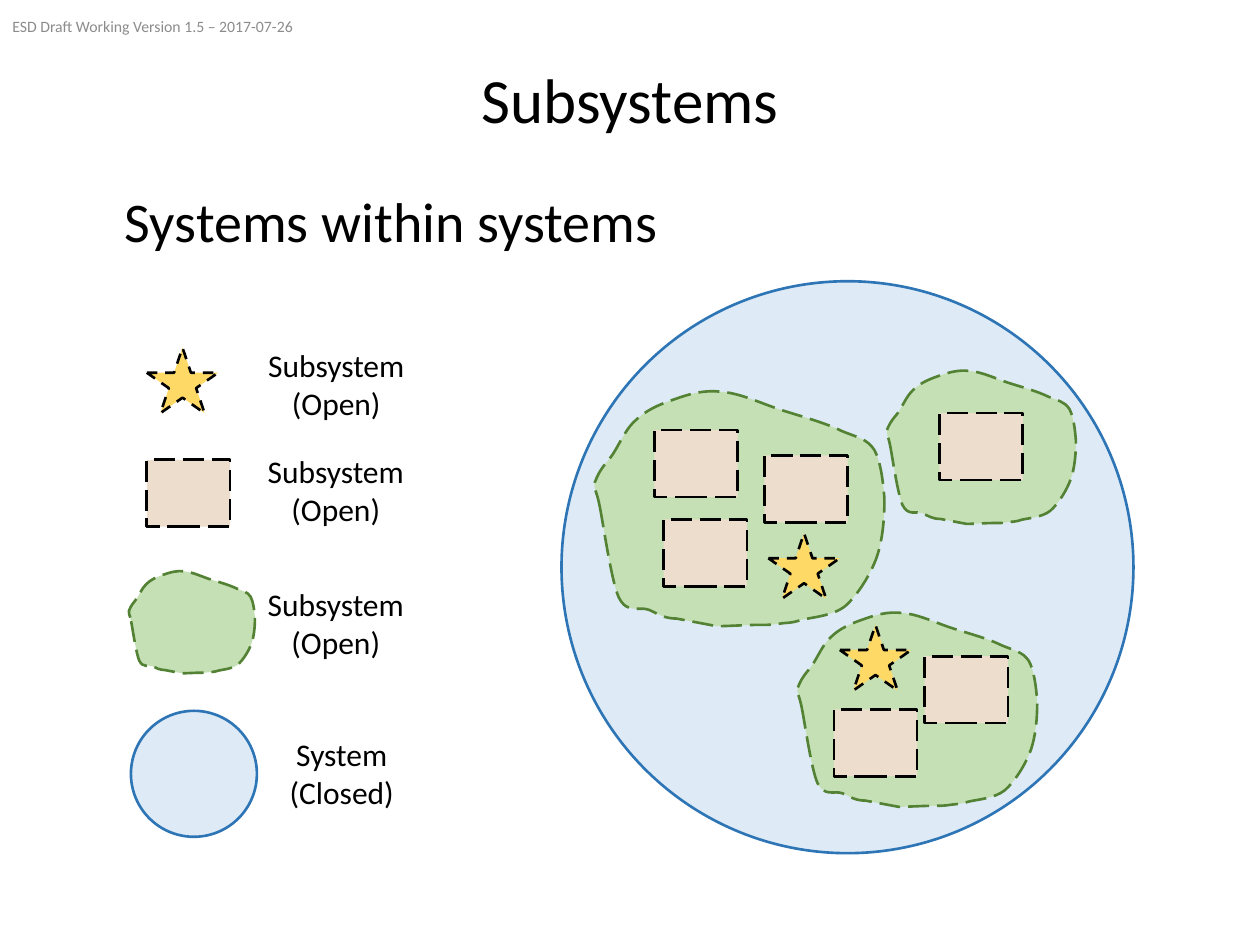
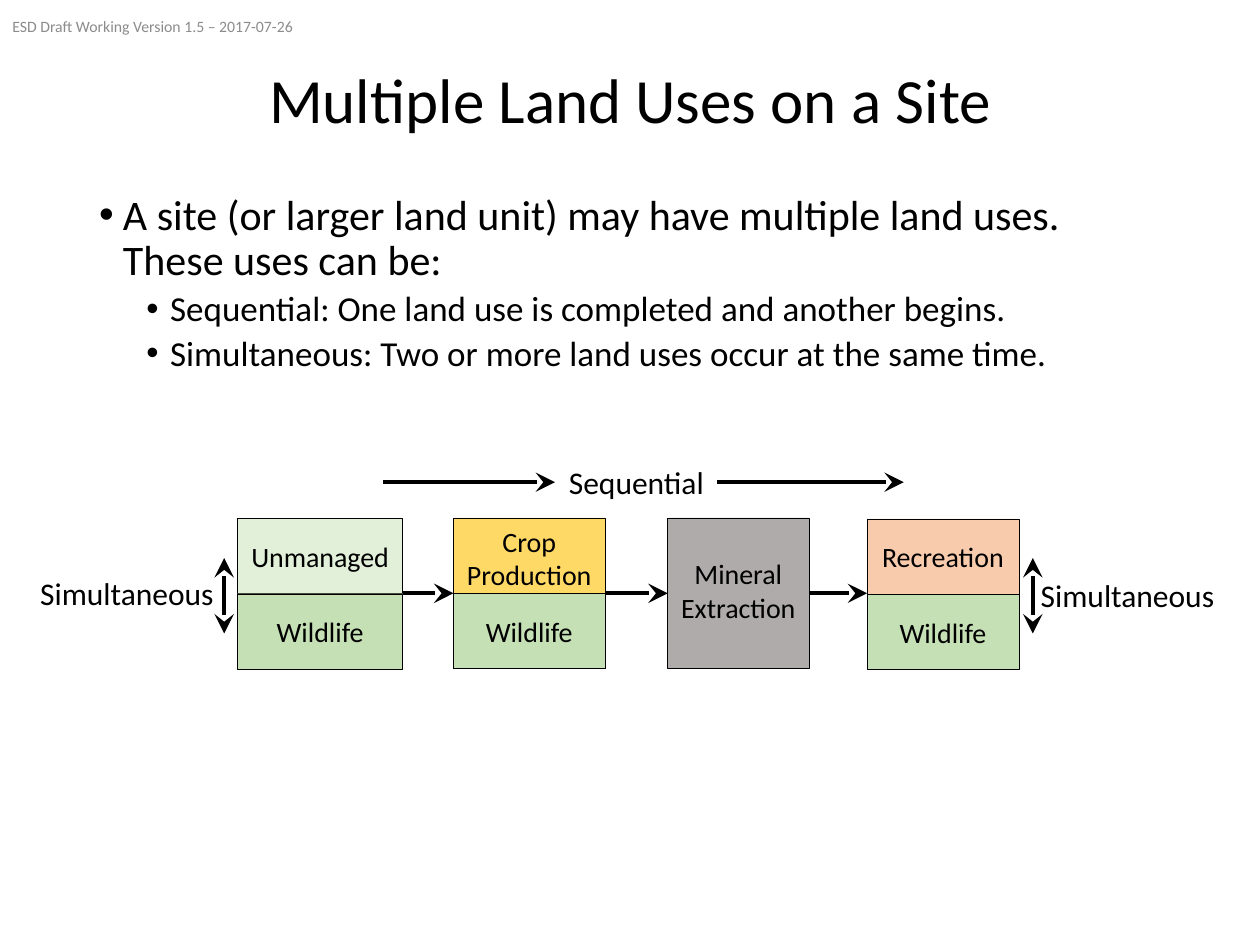
"""Build two slides: nested subsystems, and several land uses on one site."""
import pptx
import pptx.dml.color
import pptx.enum.dml
import pptx.enum.shapes
import pptx.enum.text
import pptx.oxml
import pptx.oxml.ns
import pptx.util

Cm, Pt = pptx.util.Cm, pptx.util.Pt
RGBColor = pptx.dml.color.RGBColor
SHAPE = pptx.enum.shapes.MSO_SHAPE
DASH = pptx.enum.dml.MSO_LINE
ALIGN = pptx.enum.text.PP_ALIGN
ANCHOR = pptx.enum.text.MSO_ANCHOR

BLACK = RGBColor(0x00, 0x00, 0x00)
GRAY = RGBColor(0x8C, 0x8C, 0x8C)
PALE_BLUE = RGBColor(0xDE, 0xEB, 0xF7)
BLUE = RGBColor(0x2E, 0x75, 0xB6)
GREEN = RGBColor(0xC5, 0xE0, 0xB4)
DARK_GREEN = RGBColor(0x54, 0x82, 0x35)
PALE_GREEN = RGBColor(0xE2, 0xF0, 0xD9)
TAN = RGBColor(0xEC, 0xDD, 0xCC)
GOLD = RGBColor(0xFF, 0xD9, 0x66)
STONE = RGBColor(0xAF, 0xAB, 0xAB)
PEACH = RGBColor(0xF8, 0xCB, 0xAD)
FONT = "Calibri"
HEADER = "ESD Draft Working Version 1.5 – 2017-07-26"

LEGEND = [
    ("star", 2.96, 7.01, None, ["Subsystem", "(Open)"], 5.14, 6.86),
    ("rect", 2.96, 9.27, None, ["Subsystem", "(Open)"], 5.13, 8.99),
    ("blob", 2.6, 11.52, 2.54, ["Subsystem", "(Open)"], 5.13, 11.67),
    ("circle", 2.64, 14.33, 2.54, ["System", "(Closed)"], 5.25, 14.7),
]
SYSTEM = [("circle", 11.32, 5.67, 11.53)]
SYSTEM += [("blob", *place) for place in
           [(17.88, 7.48, 3.81), (16.08, 12.36, 4.83), (11.99, 7.9, 5.84)]]
SYSTEM += [("rect", x, y, None) for x, y in
           [(13.19, 8.67), (18.64, 13.23), (13.38, 10.47),
            (16.81, 14.3), (15.41, 9.18), (18.94, 8.33)]]
SYSTEM += [("star", x, y, None) for x, y in [(15.49, 10.75), (16.93, 12.6)]]

PRESETS = {
    "circle": (SHAPE.OVAL, None, PALE_BLUE, BLUE, None),
    "rect": (SHAPE.RECTANGLE, (1.68, 1.35), TAN, BLACK, DASH.LONG_DASH),
    "star": (SHAPE.STAR_5_POINT, (1.44, 1.32), GOLD, BLACK, DASH.DASH),
}
BLOB_WIDTH = 230
BLOB_START = (4, 91)
BLOB_SEGMENTS = [
    (7, 106, 13, 149, 19, 163), (26, 177, 35, 170, 43, 173),
    (50, 176, 55, 180, 65, 180), (97, 186),
    (105, 186, 121, 185, 129, 185), (138, 185, 141, 185, 147, 184),
    (153, 183, 155, 184, 164, 181), (172, 179, 189, 178, 199, 170),
    (209, 161, 219, 145, 224, 131), (229, 116, 230, 99, 230, 85),
    (229, 71, 227, 55, 222, 46), (216, 37, 208, 36, 196, 31),
    (184, 25, 166, 20, 150, 15), (134, 10, 116, 1, 101, 0),
    (87, -2, 74, 2, 63, 6), (51, 10, 40, 15, 32, 23),
    (23, 31, 18, 46, 11, 54), (4, 62, 2, 67, 0, 72),
    (-1, 78, 1, 76, 4, 91),
]

BULLETS = [
    (0, 24, "A site (or larger land unit) may have multiple land uses. These uses can be:"),
    (1, 20, "Sequential: One land use is completed and another begins."),
    (1, 20, "Simultaneous: Two or more land uses occur at the same time."),
]
FLOW_Y, USE_HALF = 11.96, 1.52
USES = [
    (4.79, 10.45, 3.33, ["Unmanaged"], PALE_GREEN, True),
    (9.14, 10.44, 3.06, ["Crop", "Production"], GOLD, True),
    (13.46, 10.44, 2.85, ["Mineral", "Extraction"], STONE, False),
    (17.48, 10.46, 3.06, ["Recreation"], PEACH, True),
]
ARROW_LABELS = [
    ("Sequential", 11.19, 9.2, 3.28, ALIGN.CENTER),
    ("Simultaneous", 0.56, 11.45, 4.04, ALIGN.LEFT),
    ("Simultaneous", 20.73, 11.48, 4.04, ALIGN.LEFT),
]
SEQUENCE_ARROWS = [(7.72, 11.19), (14.46, 18.22)]
SIMULTANEOUS_ARROWS = [4.52, 20.82]


def write(tf, lines, size, color=BLACK, align=ALIGN.CENTER, spacing=None):
    """Put one paragraph per line into a text frame."""
    for i, line in enumerate(lines):
        p = tf.add_paragraph() if i else tf.paragraphs[0]
        p.alignment = align
        if spacing:
            p.line_spacing = spacing
        add_run(p, line, size, color)


def add_run(p, text, size, color=BLACK):
    """Add one styled run."""
    r = p.add_run()
    r.text = text
    r.font.name, r.font.size, r.font.color.rgb = FONT, Pt(size), color


def text_box(s, x, y, w, h, wrap=True, anchor=ANCHOR.TOP):
    """Add an empty text box and return its frame."""
    tf = s.shapes.add_textbox(Cm(x), Cm(y), Cm(w), Cm(h)).text_frame
    tf.word_wrap, tf.vertical_anchor = wrap, anchor
    return tf


def add_element(parent, tag, **attributes):
    """Append a drawing element to its parent and return it."""
    element = pptx.oxml.parse_xml(f'<a:{tag} {pptx.oxml.ns.nsdecls("a")}/>')
    for name, value in attributes.items():
        element.set(name, value)
    parent.append(element)
    return element


def paint(sp, fill, line, width, dash=None):
    """Set fill and outline, without shadow."""
    sp.shadow.inherit = False
    sp.fill.solid()
    sp.fill.fore_color.rgb = fill
    sp.line.color.rgb, sp.line.width = line, Pt(width)
    if dash:
        sp.line.dash_style = dash


def blob(s, x, y, width):
    """Draw a rounded outline, bending its straight segments into curves."""
    builder = s.shapes.build_freeform(*BLOB_START, scale=Cm(width) / BLOB_WIDTH)
    builder.add_line_segments([segment[-2:] for segment in BLOB_SEGMENTS], close=True)
    sp = builder.convert_to_shape(Cm(x), Cm(y))
    lines = list(sp._element.iter(pptx.oxml.ns.qn("a:lnTo")))
    for line, segment in zip(lines, BLOB_SEGMENTS):
        if len(segment) == 6:
            outline = line.getparent()
            curve = add_element(outline, "cubicBezTo")
            for px, py in zip(segment[::2], segment[1::2]):
                add_element(curve, "pt", x=str(px), y=str(py))
            outline.replace(line, curve)
    paint(sp, GREEN, DARK_GREEN, 1.5, DASH.LONG_DASH)


def symbol(s, kind, x, y, width):
    """Draw a system or subsystem symbol."""
    if kind == "blob":
        blob(s, x, y, width)
        return
    preset, size, fill, line, dash = PRESETS[kind]
    w, h = size or (width, width)
    paint(s.shapes.add_shape(preset, Cm(x), Cm(y), Cm(w), Cm(h)), fill, line, 1.5, dash)


def arrow(s, x1, y1, x2, y2, both=False):
    """Draw a line with one or two stealth arrowheads."""
    c = s.shapes.add_connector(pptx.enum.shapes.MSO_CONNECTOR.STRAIGHT,
                               Cm(x1), Cm(y1), Cm(x2), Cm(y2))
    c.line.color.rgb, c.line.width = BLACK, Pt(2.25)
    ln = c.line._get_or_add_ln()
    for end in ["headEnd", "tailEnd"] if both else ["tailEnd"]:
        add_element(ln, end, type="stealth", w="lg", len="lg")
    add_element(ln.getparent(), "effectLst")


def use_box(s, x, y, w, h, lines, fill, anchor=ANCHOR.MIDDLE):
    """Draw a labelled land use and return its text frame."""
    sp = s.shapes.add_shape(SHAPE.RECTANGLE, Cm(x), Cm(y), Cm(w), Cm(h))
    paint(sp, fill, BLACK, 0.25)
    tf = sp.text_frame
    tf.word_wrap, tf.vertical_anchor = False, anchor
    write(tf, lines, 16)
    return tf


def add_slide(prs, title):
    """Add a slide with its title and version header."""
    s = prs.slides.add_slide(prs.slide_layouts[6])
    write(text_box(s, 1.76, 1, 21.89, 2.16, anchor=ANCHOR.MIDDLE), [title], 36, spacing=0.9)
    write(text_box(s, 0, 0.01, 8.59, 1.02, anchor=ANCHOR.MIDDLE), [HEADER], 9, GRAY, ALIGN.LEFT)
    return s


def subsystems_slide(prs):
    """Show the legend beside the nested systems."""
    s = add_slide(prs, "Subsystems")
    write(text_box(s, 2.27, 3.78, 13.46, 3.23), ["Systems within systems"], 32,
          align=ALIGN.LEFT, spacing=0.9)
    for kind, x, y, width, label, label_x, label_y in LEGEND:
        symbol(s, kind, x, y, width)
        write(text_box(s, label_x, label_y, 3.28, 1.8, wrap=False), label, 18)
    for part in SYSTEM:
        symbol(s, *part)


def land_uses_slide(prs):
    """Show land uses in sequence and side by side."""
    s = add_slide(prs, "Multiple Land Uses on a Site")
    tf = text_box(s, 1.75, 3.79, 21.89, 7.01)
    for i, (level, size, text) in enumerate(BULLETS):
        p = tf.add_paragraph() if i else tf.paragraphs[0]
        p.level, p.line_spacing = level, 0.9
        if i:
            p.space_before = Pt(3.8)
        pPr = p._p.get_or_add_pPr()
        pPr.set("marL", str(Cm(0.48 + 0.95 * level)))
        pPr.set("indent", str(-Cm(0.48)))
        add_element(pPr, "buFont", typeface="Arial")
        add_element(pPr, "buChar", char="•")
        add_run(p, text, size)

    for x, y, w, lines, fill, wildlife in USES:
        if len(lines) == 1:
            use_box(s, x, y, w, USE_HALF, lines, fill)
        elif wildlife:
            use_box(s, x, y, w, 2 * USE_HALF, lines, fill, ANCHOR.TOP)
        else:
            use_box(s, x, y, w, 2 * USE_HALF, lines, fill).margin_bottom = Cm(0.25)
        if wildlife:
            use_box(s, x, y + USE_HALF, w, USE_HALF, ["Wildlife"], GREEN)
    for left, right in zip(USES, USES[1:]):
        arrow(s, left[0] + left[2], FLOW_Y, right[0], FLOW_Y)

    for text, x, y, w, align in ARROW_LABELS:
        write(text_box(s, x, y, w, 1.02, wrap=False), [text], 18, align=align)
    for start, end in SEQUENCE_ARROWS:
        arrow(s, start, 9.72, end, 9.72)
    for x in SIMULTANEOUS_ARROWS:
        arrow(s, x, 11.25, x, 12.77, both=True)


def main():
    """Build and save the presentation."""
    prs = pptx.Presentation()
    prs.slide_width, prs.slide_height = Cm(25.4), Cm(19.05)
    subsystems_slide(prs)
    land_uses_slide(prs)
    prs.save("out.pptx")


if __name__ == "__main__":
    main()
